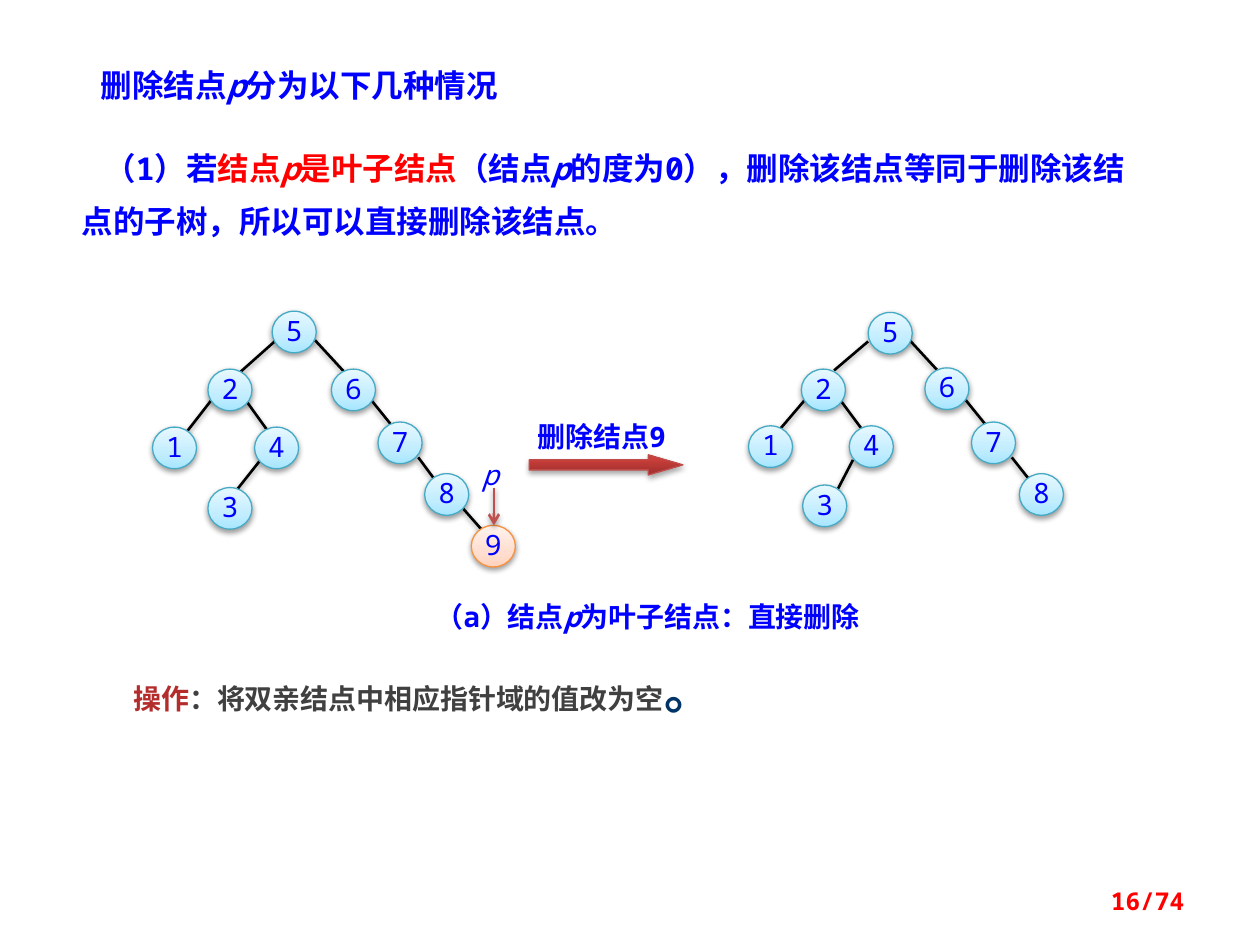
import pptx
import pptx.util
import pptx.dml.color
import pptx.enum.shapes
import pptx.enum.text
import copy
from dataclasses import dataclass
from lxml import etree
from pptx.oxml.ns import qn
from pptx.util import Inches, Pt


@dataclass(frozen=True)
class Theme:
    font: str = "Noto Sans Mono"
    note_font: str = "Times New Roman"
    blue: str = "0000FF"
    red: str = "FF0000"
    edge: str = "000000"
    node_line: str = "46AAC5"
    node_fill: tuple = ((0, "A7E6FF"), (0.35, "C1EDFF"), (1, "E7F8FF"))
    leaf_line: str = "F69240"
    leaf_fill: tuple = ((0, "FFD2BD"), (0.35, "FFDED0"), (1, "FFF2ED"))
    arrow_line: str = "BF4C48"
    arrow_fill: tuple = ((0, "9C2F2D"), (0.8, "CB3E3A"), (1, "CE3B37"))
    pointer: str = "C0504D"
    note_label: str = "B42D2D"
    note_text: str = "404040"
    note_stop: str = "003366"
    heading_size: int = 18
    label_size: int = 16
    page_size: int = 14
    stop_size: int = 28


theme = Theme()
Align = pptx.enum.text.PP_ALIGN
Anchor = pptx.enum.text.MSO_ANCHOR
Shape = pptx.enum.shapes.MSO_SHAPE
rgb = pptx.dml.color.RGBColor.from_string


def write_text(shape, spans, align=Align.LEFT, anchor=Anchor.TOP, spacing=None,
               indent=0, inset=True, font=theme.font, size=theme.label_size,
               color=theme.blue, bold=False):
    frame = shape.text_frame
    frame.auto_size = pptx.enum.text.MSO_AUTO_SIZE.NONE
    frame.word_wrap = True
    frame.vertical_anchor = anchor
    frame.margin_left = frame.margin_right = Inches(0.1 if inset else 0)
    frame.margin_top = frame.margin_bottom = Inches(0.05 if inset else 0)
    para = frame.paragraphs[0]
    para.alignment = align
    if spacing is not None:
        para.line_spacing = spacing
    if indent:
        para._p.get_or_add_pPr().set("indent", str(Inches(indent)))
    for text, changes in spans:
        span = para.add_run()
        span.text = text
        span.font.name = font
        span.font.size = Pt(changes.get("size", size))
        span.font.bold = bold
        span.font.italic = changes.get("italic", False)
        span.font.color.rgb = rgb(changes.get("color", color))


def finish_shape(shape, line_color, line_width, stops=(), distance=20000, alpha=38000):
    if stops:
        shape.fill.gradient()
        stop_list = shape._element.spPr.find(".//" + qn("a:gsLst"))
        stop_list.append(copy.deepcopy(stop_list[0]))
        for stop, (position, color) in zip(shape.fill.gradient_stops, stops):
            stop.position = position
            stop.color.rgb = rgb(color)
        shape.fill.gradient_angle = 90
    shape.line.color.rgb = rgb(line_color)
    shape.line.width = Pt(line_width)
    effects = etree.SubElement(shape._element.spPr, qn("a:effectLst"))
    shadow = etree.SubElement(effects, qn("a:outerShdw"), blurRad="40000",
                              dist=str(distance), dir="5400000", rotWithShape="0")
    color = etree.SubElement(shadow, qn("a:srgbClr"), val="000000")
    etree.SubElement(color, qn("a:alpha"), val=str(alpha))


deck = pptx.Presentation()
deck.slide_width, deck.slide_height = Inches(10), Inches(7.5)
page = deck.slides.add_slide(deck.slide_layouts[5])
shapes = page.shapes
italic = {"italic": True}

title = shapes.title
title.left, title.top = Inches(0.7), Inches(0.47)
title.width, title.height = Inches(3.52), Inches(0.4)
write_text(title, [("删除结点", {}), ("p", italic), ("分为以下几种情况", {})],
           size=theme.heading_size, bold=True)

red = {"color": theme.red}
trees = [
    {
        "edges": [(2.18, 2.71, 1.91, 2.95), (2.06, 3.66, 1.87, 3.9),
                  (1.69, 3.16, 1.48, 3.43), (2.95, 3.18, 3.12, 3.39),
                  (3.32, 3.63, 3.46, 3.82), (3.67, 4.03, 3.82, 4.2),
                  (1.96, 3.19, 2.19, 3.51), (2.5, 2.7, 2.74, 2.96)],
        "nodes": {"5": (2.16, 2.47), "2": (1.65, 2.93), "6": (2.63, 2.93),
                  "1": (1.21, 3.39), "4": (2.02, 3.39), "3": (1.65, 3.87),
                  "7": (3, 3.35), "8": (3.37, 3.76), "9": (3.74, 4.17)},
    },
    {
        "edges": [(6.89, 2.71, 6.62, 2.94), (6.77, 3.65, 6.64, 3.9),
                  (6.4, 3.16, 6.17, 3.43), (7.66, 3.17, 7.83, 3.38),
                  (8.03, 3.63, 8.18, 3.82), (6.68, 3.19, 6.91, 3.5),
                  (7.21, 2.69, 7.45, 2.95)],
        "nodes": {"2": (6.36, 2.93), "6": (7.34, 2.92), "1": (5.94, 3.38),
                  "4": (6.74, 3.38), "3": (6.37, 3.85), "7": (7.71, 3.35),
                  "8": (8.09, 3.76), "5": (6.89, 2.48)},
    },
]
for tree in trees:
    for ends in tree["edges"]:
        edge = shapes.add_connector(pptx.enum.shapes.MSO_CONNECTOR.STRAIGHT,
                                    *map(Inches, ends))
        finish_shape(edge, theme.edge, 1.5)
    for key, (left, top) in tree["nodes"].items():
        node = shapes.add_shape(Shape.OVAL, Inches(left), Inches(top),
                                Inches(0.35), Inches(0.33))
        deleted = key == "9"
        finish_shape(node, theme.leaf_line if deleted else theme.node_line, 0.75,
                     theme.leaf_fill if deleted else theme.node_fill)
        write_text(node, [(key, {})], align=Align.CENTER, anchor=Anchor.MIDDLE,
                   spacing=Pt(17), inset=False)

arrow = shapes.add_shape(Shape.RIGHT_ARROW, Inches(4.2), Inches(3.61),
                         Inches(1.22), Inches(0.16))
arrow.adjustments[1] = 1.72
finish_shape(arrow, theme.arrow_line, 0.75, theme.arrow_fill, distance=23000, alpha=35000)

pointer = shapes.add_connector(pptx.enum.shapes.MSO_CONNECTOR.STRAIGHT,
                               Inches(3.92), Inches(3.87), Inches(3.92), Inches(4.17))
finish_shape(pointer, theme.pointer, 1.5)
etree.SubElement(pointer.line._get_or_add_ln(), qn("a:tailEnd"), type="arrow")

centered = {"align": Align.CENTER, "inset": False}
texts = [
    ((0.55, 1.02, 8.59, 0.9),
     [("（1）若", {}), ("结点", red), ("p", {**red, **italic}), ("是叶子结点", red),
      ("（结点", {}), ("p", italic),
      ("的度为0），删除该结点等同于删除该结点的子树，所以可以直接删除该结点。", {})],
     {"size": theme.heading_size, "bold": True, "spacing": Pt(30), "indent": 0.18}),
    ((3.28, 4.76, 3.72, 0.32),
     [("（a）结点", {}), ("p", italic), ("为叶子结点：直接删除", {})],
     {**centered, "bold": True}),
    ((4.19, 3.36, 1.17, 0.22), [("删除结点9", {})],
     {**centered, "bold": True, "spacing": Pt(17)}),
    ((3.75, 3.66, 0.28, 0.25), [("p", italic)], {**centered, "spacing": Pt(17)}),
    ((7.17, 6.95, 2.33, 0.4), [("16/74", {})],
     {"align": Align.RIGHT, "anchor": Anchor.MIDDLE, "size": theme.page_size,
      "color": theme.red, "bold": True}),
    ((0.96, 5.28, 4.72, 0.48),
     [("操作", {"color": theme.note_label}), ("：将双亲结点中相应指针域的值改为空", {}),
      ("。", {"size": theme.stop_size, "color": theme.note_stop})],
     {"font": theme.note_font, "color": theme.note_text, "bold": True, "spacing": 0.8}),
]
for place, spans, style in texts:
    box = shapes.add_textbox(*map(Inches, place))
    write_text(box, spans, **style)

deck.save("out.pptx")
